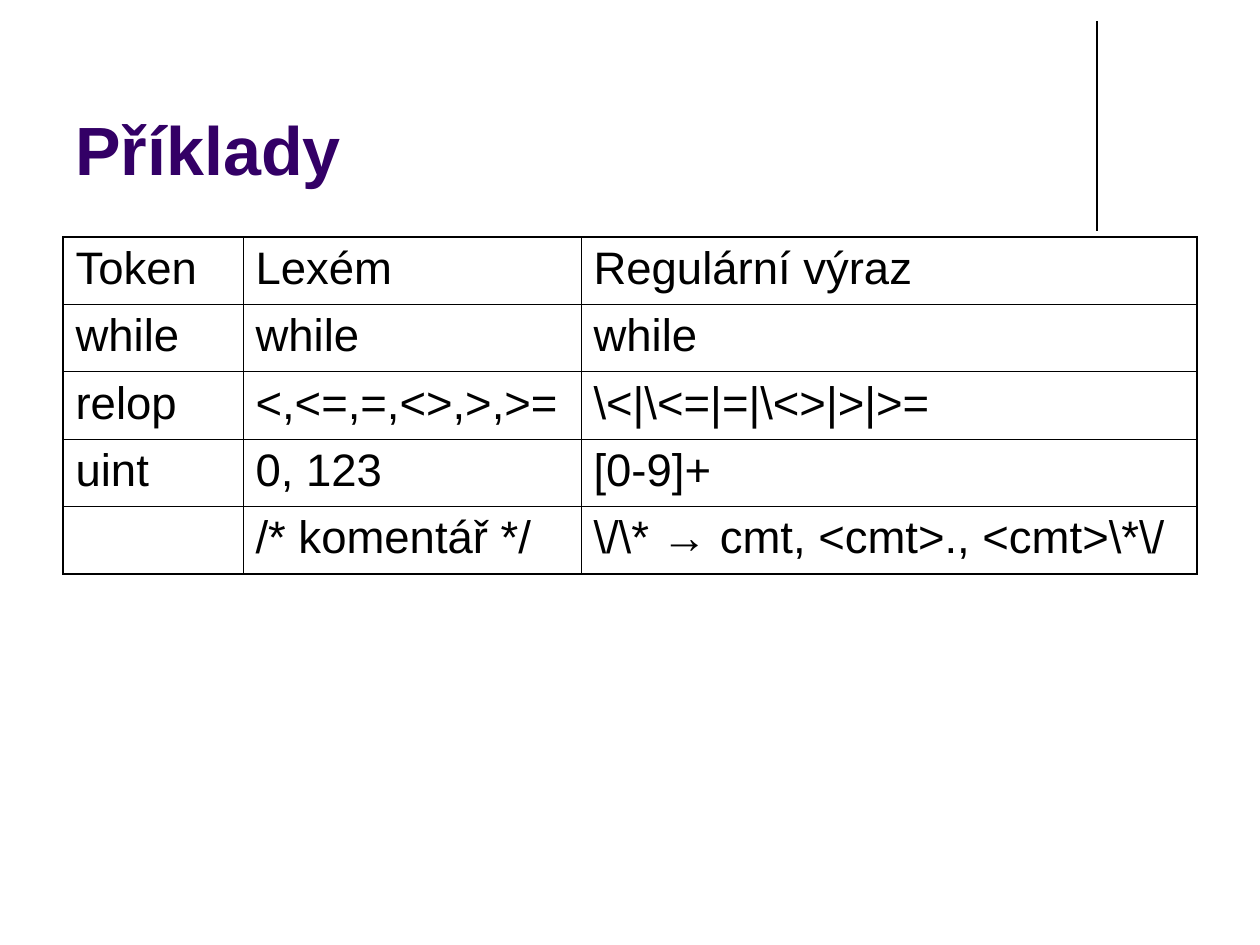
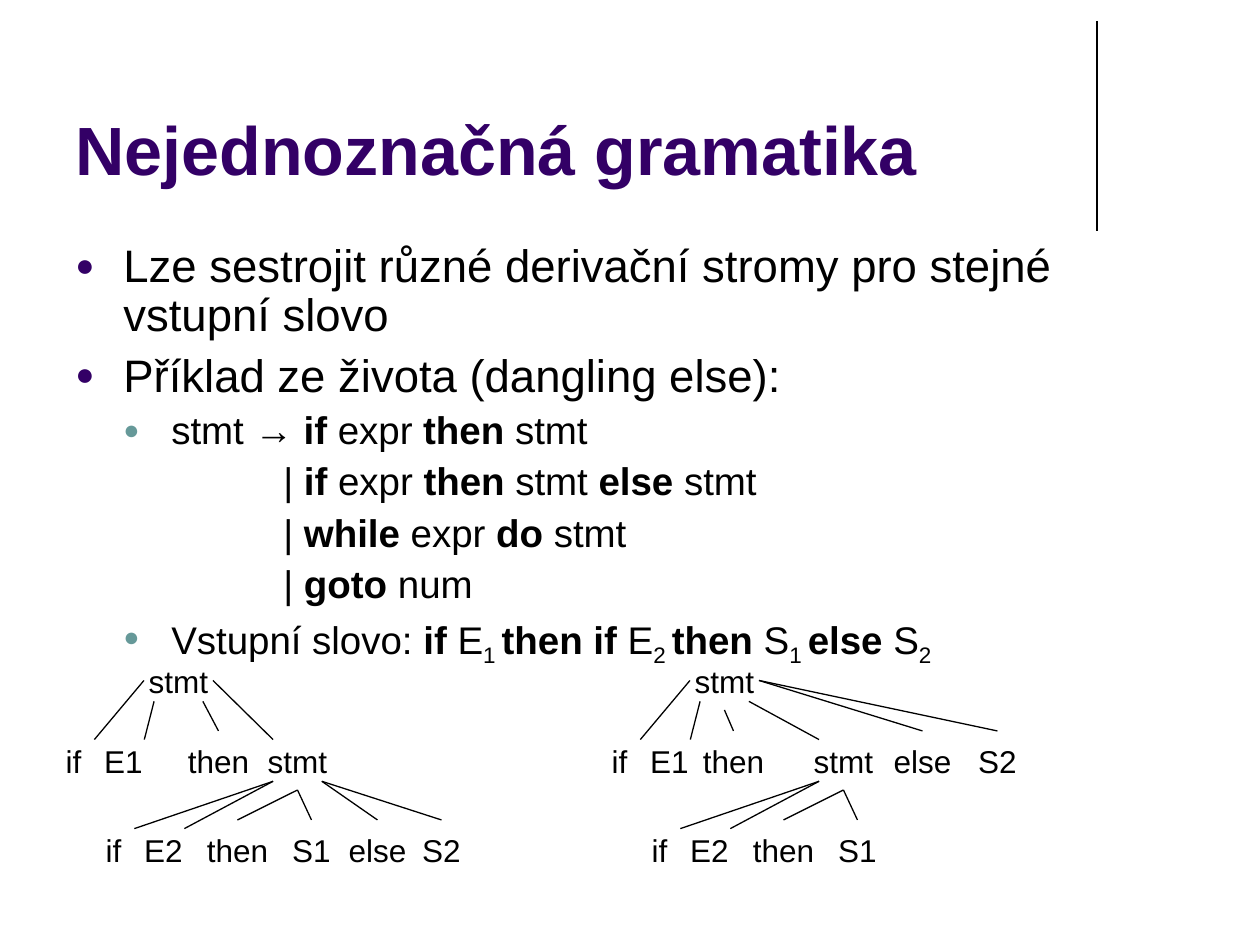
import dataclasses

import lxml.etree
import pptx
import pptx.dml.color
import pptx.enum.shapes
import pptx.enum.text
import pptx.oxml.ns
import pptx.util

qn = pptx.oxml.ns.qn
px = 7257  # EMU in one px


@dataclasses.dataclass(frozen=True)
class Theme:
    font: str = "Arial"
    ink: str = "000000"
    heading: str = "330066"
    sub_bullet: str = "669999"
    title_size: int = 39
    body_size: int = 26
    sub_size: int = 22
    node_size: int = 18
    hairline: float = 0.75
    grid_outer: float = 1.08
    grid_inner: float = 0.45


theme = Theme()


def add_run(paragraph, text, size, color=theme.ink, style=""):
    run = paragraph.add_run()
    run.text = text
    run.font.name = theme.font
    run.font.size = pptx.util.Pt(size)
    run.font.bold = style == "bold"
    run.font.color.rgb = pptx.dml.color.RGBColor.from_string(color)
    if style == "sub":
        run._r.get_or_add_rPr().set("baseline", "-25000")


def add_line(slide, x1, y1, x2, y2):
    line = slide.shapes.add_connector(
        pptx.enum.shapes.MSO_CONNECTOR.STRAIGHT,
        *[round(value * px) for value in (x1, y1, x2, y2)])
    line.line.color.rgb = pptx.dml.color.RGBColor.from_string(theme.ink)
    line.line.width = pptx.util.Pt(theme.hairline)
    lxml.etree.SubElement(line._element.spPr, qn("a:effectLst"))


deck = pptx.Presentation()
deck.slide_width = 1260 * px
deck.slide_height = 945 * px

# Shared frame: vertical rule and title
slides = []
for heading in ("Příklady", "Nejednoznačná gramatika"):
    slide = deck.slides.add_slide(deck.slide_layouts[6])
    add_line(slide, 1097, 21, 1097, 231)
    title = slide.shapes.add_textbox(63 * px, 16 * px, 1040 * px, 179 * px).text_frame
    title.word_wrap = True
    title.vertical_anchor = pptx.enum.text.MSO_ANCHOR.BOTTOM
    add_run(title.paragraphs[0], heading, theme.title_size, theme.heading, "bold")
    slides.append(slide)
examples, grammar = slides

# Slide 1: token table
token_rows = [
    ("Token", "Lexém", "Regulární výraz"),
    ("while", "while", "while"),
    ("relop", "<,<=,=,<>,>,>=", r"\<|\<=|=|\<>|>|>="),
    ("uint", "0, 123", "[0-9]+"),
    ("", "/* komentář */", r"\/\* → cmt, <cmt>., <cmt>\*\/"),
]
column_widths = (180, 338, 616)
table_height = 337 * px
last_row, last_column = len(token_rows) - 1, len(column_widths) - 1

tokens = examples.shapes.add_table(
    len(token_rows), len(column_widths),
    63 * px, 237 * px, sum(column_widths) * px, table_height).table
tokens.first_row = tokens.horz_banding = False
for column, width in zip(tokens.columns, column_widths):
    column.width = width * px
for r, words in enumerate(token_rows):
    tokens.rows[r].height = table_height // len(token_rows)
    for c, word in enumerate(words):
        cell = tokens.cell(r, c)
        cell.margin_left = cell.margin_right = pptx.util.Inches(0.1)
        cell.margin_top = cell.margin_bottom = pptx.util.Inches(0.05)
        if word:
            add_run(cell.text_frame.paragraphs[0], word, theme.body_size)
        # The frame and the rule under the header are heavier
        heavy_sides = {
            "a:lnL": c == 0,
            "a:lnR": c == last_column,
            "a:lnT": r <= 1,
            "a:lnB": r in (0, last_row),
        }
        cell_props = cell._tc.get_or_add_tcPr()
        for side, heavy in heavy_sides.items():
            width = pptx.util.Pt(theme.grid_outer if heavy else theme.grid_inner)
            border = lxml.etree.SubElement(cell_props, qn(side), w=str(int(width)))
            fill = lxml.etree.SubElement(border, qn("a:solidFill"))
            lxml.etree.SubElement(fill, qn("a:srgbClr"), val=theme.ink)
        cell.fill.background()

# Slide 2: bullets, each as (kind, runs)
levels = {  # size, left margin, first-line indent, space before, bullet colour
    "point": (theme.body_size, 48, -48, 6.5, theme.heading),
    "rule": (theme.sub_size, 96, -48, 5.5, theme.sub_bullet),
    "option": (theme.sub_size, 208, 0, 5.5, None),
}
bullets = [
    ("point", [("Lze sestrojit různé derivační stromy pro stejné vstupní slovo", "")]),
    ("point", [("Příklad ze života (dangling else):", "")]),
    ("rule", [("stmt → ", ""), ("if ", "bold"), ("expr ", ""), ("then ", "bold"),
              ("stmt", "")]),
    ("option", [("| ", ""), ("if ", "bold"), ("expr ", ""), ("then ", "bold"),
                ("stmt ", ""), ("else ", "bold"), ("stmt", "")]),
    ("option", [("| ", ""), ("while", "bold"), (" expr ", ""), ("do", "bold"),
                (" stmt", "")]),
    ("option", [("| ", ""), ("goto", "bold"), (" num", "")]),
    ("rule", [("Vstupní slovo: ", ""), ("if", "bold"), (" E", ""), ("1 ", "sub"),
              ("then if", "bold"), (" E", ""), ("2 ", "sub"), ("then", "bold"),
              (" S", ""), ("1 ", "sub"), ("else", "bold"), (" S", ""), ("2", "sub")]),
]
body = grammar.shapes.add_textbox(63 * px, 237 * px, 1134 * px, 433 * px).text_frame
body.word_wrap = True
for i, (kind, runs) in enumerate(bullets):
    size, margin, indent, space, bullet_color = levels[kind]
    paragraph = body.add_paragraph() if i else body.paragraphs[0]
    props = paragraph._p.get_or_add_pPr()
    props.set("marL", str(margin * px))
    props.set("indent", str(indent * px))
    if bullet_color:
        color = lxml.etree.SubElement(props, qn("a:buClr"))
        lxml.etree.SubElement(color, qn("a:srgbClr"), val=bullet_color)
        lxml.etree.SubElement(props, qn("a:buSzPct"), val="70000")
        lxml.etree.SubElement(props, qn("a:buFont"), typeface=theme.font)
        lxml.etree.SubElement(props, qn("a:buChar"), char="●")
    paragraph.line_spacing = 0.9
    if i:
        paragraph.space_before = pptx.util.Pt(space)
    for text, style in runs:
        add_run(paragraph, text, size, style=style)

# Slide 2: derivation trees
# A branch is (word, left, side of the parent, side of the word)
diagonal = 0.707
sides = {
    "N": (0, -1), "S": (0, 1), "E": (1, 0), "W": (-1, 0),
    "NE": (diagonal, -diagonal), "NW": (-diagonal, -diagonal),
    "SE": (diagonal, diagonal), "SW": (-diagonal, diagonal),
}
condition = [("if", 0, "W", "NE"), ("E1", 50, "SW", "NE")]
inner_if = [("if", 40, "SW", "NE"), ("E2", 90, "SW", "NE"),
            ("then", 159, "S", "N"), ("S1", 238, "S", "N")]
trees = [
    (44,
     condition + [("then", 140, "SE", "N"), ("stmt", 219, "E", "NW")],
     inner_if + [("else", 299, "SE", "N"), ("S2", 368, "SE", "N")]),
    (590,
     condition + [("then", 109, "S", "N"), ("stmt", 219, "SE", "NW"),
                  ("else", 298, "E", "N"), ("S2", 378, "E", "N")],
     inner_if),
]
node_height = 59
level_tops = (651, 731, 820)
for tree_left, outer_branches, inner_branches in trees:
    parent = None
    root = [("stmt", 100, None, None)]
    for top, branches in zip(level_tops, (root, outer_branches, inner_branches)):
        for word, left, parent_side, word_side in branches:
            width = 59 if len(word) == 2 else 69
            node = grammar.shapes.add_shape(
                pptx.enum.shapes.MSO_SHAPE.OVAL,
                (tree_left + left) * px, top * px, width * px, node_height * px)
            node.shadow.inherit = False
            node.fill.background()
            node.line.fill.background()
            node.text_frame.word_wrap = False
            node.text_frame.vertical_anchor = pptx.enum.text.MSO_ANCHOR.MIDDLE
            label = node.text_frame.paragraphs[0]
            label.alignment = pptx.enum.text.PP_ALIGN.CENTER
            add_run(label, word, theme.node_size)

            oval = (tree_left + left + width / 2, top + node_height / 2, width / 2)
            if parent:
                ends = []
                for (x, y, radius), side in ((parent, parent_side), (oval, word_side)):
                    dx, dy = sides[side]
                    ends += [x + dx * radius, y + dy * node_height / 2]
                add_line(grammar, *ends)
            if word == "stmt":
                next_parent = oval
        parent = next_parent

deck.save("out.pptx")
